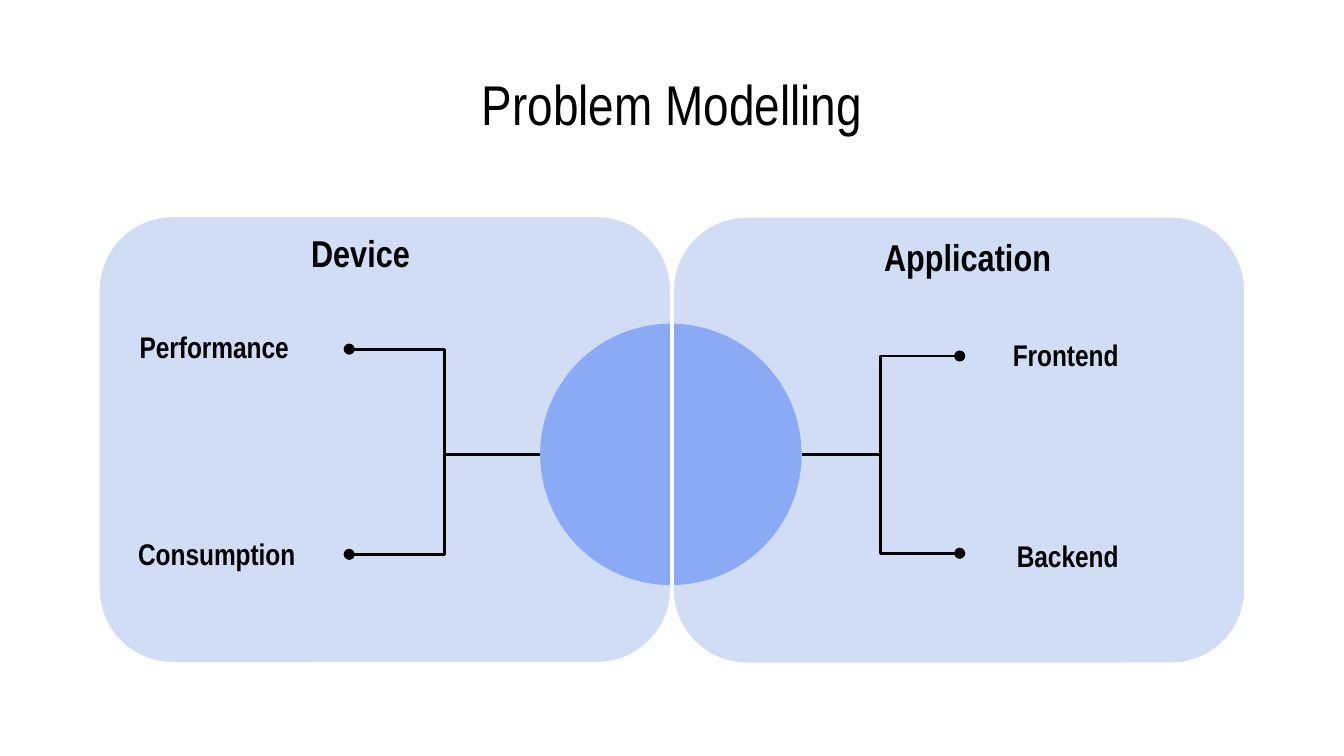
from dataclasses import dataclass

from pptx import Presentation
from pptx.dml.color import RGBColor
from pptx.enum import shapes, text
from pptx.oxml import xmlchemy as xml
from pptx.util import Cm, Pt


@dataclass(frozen=True)
class Theme:
    font: str = "Arial Narrow"
    ink: RGBColor = RGBColor(0x00, 0x00, 0x00)
    card: RGBColor = RGBColor(0x69, 0x8C, 0xE0)
    disc: RGBColor = RGBColor(0x9A, 0xB8, 0xFF)
    edge: RGBColor = RGBColor(0xFF, 0xFF, 0xFF)
    title: int = 30
    head: int = 20
    label: int = 16


THEME = Theme()
ALIGN = text.PP_ALIGN
PAD = 0.25

# Geometry in centimetres
DISC_X, DISC_Y, DISC_D = 10.21, 6.12, 4.94
HUB_Y = DISC_Y + DISC_D / 2
CARD_W, CARD_H = 10.85, 8.48
LABEL_H = 1.14


def write(frame, words, size, align, bold=True):
    frame.text = words
    para = frame.paragraphs[0]
    para.alignment = align
    font = para.runs[0].font
    font.name, font.size, font.bold = THEME.font, Pt(size), bold
    font.color.rgb = THEME.ink


def inset(frame):
    frame.margin_left = frame.margin_right = Cm(PAD)
    frame.margin_top = frame.margin_bottom = Cm(PAD)
    frame.vertical_anchor = text.MSO_ANCHOR.MIDDLE


def add_title(slide, words):
    title = slide.shapes.title
    title.left, title.top = Cm(1.27), Cm(1.5)
    title.width, title.height = Cm(22.86), Cm(0.9)
    frame = title.text_frame
    inset(frame)
    frame.auto_size = text.MSO_AUTO_SIZE.NONE
    write(frame, words, THEME.title, ALIGN.CENTER, bold=False)


def add_disc(slide):
    disc = slide.shapes.add_shape(
        shapes.MSO_SHAPE.OVAL, Cm(DISC_X), Cm(DISC_Y), Cm(DISC_D), Cm(DISC_D))
    disc.shadow.inherit = False
    disc.fill.solid()
    disc.fill.fore_color.rgb = THEME.disc
    disc.line.fill.background()


def add_card(slide, x, y):
    card = slide.shapes.add_shape(
        shapes.MSO_SHAPE.ROUNDED_RECTANGLE, Cm(x), Cm(y), Cm(CARD_W), Cm(CARD_H))
    card.shadow.inherit = False
    card.fill.solid()
    card.fill.fore_color.rgb = THEME.card
    # Let the disc show through
    tint = card.fill._xPr.find(".//" + xml.qn("a:srgbClr"))
    alpha = xml.OxmlElement("a:alpha")
    alpha.set("val", "30000")
    tint.append(alpha)
    card.line.color.rgb = THEME.edge
    card.line.width = Pt(2)


def add_head(slide, words, x, y, width):
    box = slide.shapes.add_textbox(Cm(x), Cm(y), Cm(width), Cm(1.12))
    frame = box.text_frame
    frame.word_wrap = False
    frame.auto_size = text.MSO_AUTO_SIZE.SHAPE_TO_FIT_TEXT
    write(frame, words, THEME.head, ALIGN.LEFT)


def add_label(slide, words, x, y, width, align):
    box = slide.shapes.add_textbox(Cm(x), Cm(y), Cm(width), Cm(LABEL_H))
    frame = box.text_frame
    frame.word_wrap = True
    inset(frame)
    write(frame, words, THEME.label, align)


def add_branch(slide, x, y, hub):
    link = slide.shapes.add_connector(
        shapes.MSO_CONNECTOR.ELBOW, Cm(x), Cm(y), Cm(hub), Cm(HUB_Y))
    link.line.color.rgb = THEME.ink
    link.line.width = Pt(1.5)
    dot = xml.OxmlElement("a:headEnd")
    dot.set("type", "oval")
    link.line._get_or_add_ln().append(dot)
    link._element.spPr.append(xml.OxmlElement("a:effectLst"))


def main():
    deck = Presentation()
    deck.slide_width, deck.slide_height = Cm(25.4), Cm(14.29)
    slide = deck.slides.add_slide(deck.slide_layouts[5])

    # Disc behind the two cards
    add_disc(slide)
    add_card(slide, 12.7, 4.08)
    add_card(slide, 1.85, 4.07)
    add_title(slide, "Problem Modelling")

    # Labels: words, left, top, width, alignment
    for label in (
        ("Frontend", 18.14, 6.13, 3.25, ALIGN.RIGHT),
        ("Performance", 2.39, 5.99, 4.21, ALIGN.LEFT),
        ("Backend", 17.76, 9.93, 3.63, ALIGN.RIGHT),
        ("Consumption", 2.36, 9.89, 4.45, ALIGN.LEFT),
    ):
        add_label(slide, *label)

    # Branches from each label to the near side of the disc
    for x, hub, rows in (
        (6.6, DISC_X, (6.6, 10.48)),
        (18.14, DISC_X + DISC_D, (6.73, 10.46)),
    ):
        for y in rows:
            add_branch(slide, x, y, hub)

    # Card headings
    add_head(slide, "Device", 5.63, 4.22, 2.39)
    add_head(slide, "Application", 16.46, 4.3, 3.71)

    deck.save("out.pptx")


if __name__ == "__main__":
    main()
